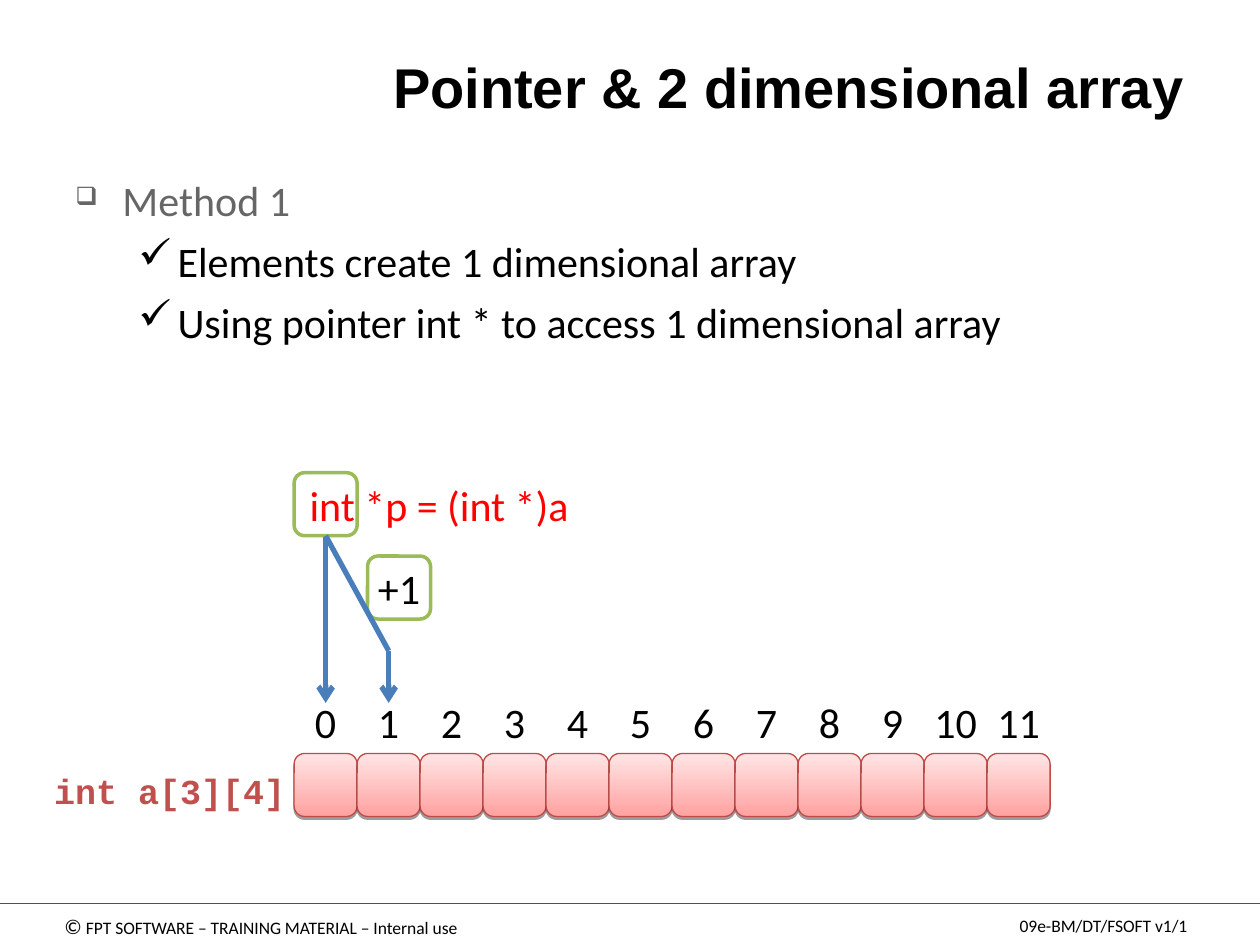
from dataclasses import dataclass

from lxml import etree
from pptx import Presentation
from pptx.dml.color import RGBColor
from pptx.enum.shapes import MSO_CONNECTOR, MSO_SHAPE
from pptx.enum.text import MSO_ANCHOR, PP_ALIGN
from pptx.oxml.ns import qn
from pptx.util import Cm, Pt

ROUND = MSO_SHAPE.ROUNDED_RECTANGLE
STRAIGHT = MSO_CONNECTOR.STRAIGHT
LEFT, CENTER, RIGHT = PP_ALIGN.LEFT, PP_ALIGN.CENTER, PP_ALIGN.RIGHT
TOP, MIDDLE, BOTTOM = MSO_ANCHOR.TOP, MSO_ANCHOR.MIDDLE, MSO_ANCHOR.BOTTOM


@dataclass(frozen=True)
class Theme:
    black: str = "000000"
    white: str = "FFFFFF"
    gray: str = "666666"
    red: str = "FF0000"
    rule: str = "FC0128"
    code: str = "C0504D"
    cell_line: str = "BE4B48"
    cell_dark: str = "FFA2A1"
    cell_light: str = "FFE5E5"
    green: str = "9BBB59"
    blue: str = "4A7EBB"
    heading: str = "Arial"
    body: str = "Calibri"
    mono: str = "Courier New"
    title_size: int = 32
    body_size: int = 24
    code_size: int = 20
    mark_size: int = 12
    foot_size: int = 10


T = Theme()


def write(sp, runs, align=LEFT, anchor=TOP, wrap=False):
    tf = sp.text_frame
    tf.word_wrap = wrap
    tf.vertical_anchor = anchor
    p = tf.paragraphs[0]
    p.alignment = align
    for text, size, color, name, bold in runs:
        r = p.add_run()
        r.text = text
        r.font.size = Pt(size)
        r.font.color.rgb = RGBColor.from_string(color)
        r.font.name = name
        r.font.bold = bold


def connect(x1, y1, x2, y2, color, width, arrow=False):
    c = s.shapes.add_connector(STRAIGHT, Cm(x1), Cm(y1), Cm(x2), Cm(y2))
    c.line.color.rgb = RGBColor.from_string(color)
    c.line.width = Pt(width)
    if arrow:
        etree.SubElement(c.line._get_or_add_ln(), qn("a:tailEnd"), type="arrow")
    etree.SubElement(c._element.spPr, qn("a:effectLst"))


prs = Presentation()
prs.slide_width, prs.slide_height = Cm(25.4), Cm(19.05)
s = prs.slides.add_slide(prs.slide_layouts[6])

connect(0, 18.21, 25.4, 18.21, T.rule, 0.75)

texts = [
    (1.02, 18.29, 8.48, 0.76, CENTER, MIDDLE, False,
     [("©", T.mark_size, T.black, T.body, False),
      (" FPT SOFTWARE – TRAINING MATERIAL – Internal use", T.foot_size, T.black, T.body, False)]),
    (20.29, 18.31, 3.91, 0.69, CENTER, MIDDLE, False,
     [("09e-BM/DT/FSOFT v1/1", T.foot_size, T.black, T.body, False)]),
    (4.9, 0, 19.23, 2.54, RIGHT, BOTTOM, True,
     [("Pointer & 2 dimensional array", T.title_size, T.black, T.heading, True)]),
    (0.84, 15.39, 5.92, 1.12, LEFT, TOP, True,
     [("int a[3][4]", T.code_size, T.code, T.mono, True)]),
]
for x, y, w, h, align, anchor, wrap, runs in texts:
    sp = s.shapes.add_textbox(Cm(x), Cm(y), Cm(w), Cm(h))
    write(sp, runs, align, anchor, wrap)

bullets = [
    ("Method 1", 0, 0.95, 0.95, "❑", 60, T.gray),
    ("Elements create 1 dimensional array", 1, 2.06, 0.79, "✓", 100, T.black),
    ("Using pointer int * to access 1 dimensional array", 1, 2.06, 0.79, "✓", 100, T.black),
]
tf = s.shapes.add_textbox(Cm(1.27), Cm(3.39), Cm(22.86), Cm(13.64)).text_frame
tf.word_wrap = True
for i, (text, level, margin, hang, mark, scale, color) in enumerate(bullets):
    p = tf.add_paragraph() if i else tf.paragraphs[0]
    p.level = level
    pPr = p._p.get_or_add_pPr()
    pPr.set("marL", str(Cm(margin)))
    pPr.set("indent", str(-Cm(hang)))
    clr = etree.SubElement(pPr, qn("a:buClr"))
    etree.SubElement(clr, qn("a:srgbClr"), val=color)
    etree.SubElement(pPr, qn("a:buSzPct"), val=str(scale * 1000))
    etree.SubElement(pPr, qn("a:buChar"), char=mark)
    p.space_before = Pt(6 if i else 0)
    r = p.add_run()
    r.text = text
    r.font.size = Pt(T.body_size)
    r.font.name = T.body
    r.font.color.rgb = RGBColor.from_string(color)

side, left, index_top = 1.27, 5.93, 13.92
for i in range(12):
    x = left + i * side
    sp = s.shapes.add_shape(ROUND, Cm(x), Cm(index_top), Cm(side), Cm(side))
    sp.shadow.inherit = False
    sp.fill.solid()
    sp.fill.fore_color.rgb = RGBColor.from_string(T.white)
    sp.line.fill.background()
    write(sp, [(str(i), T.body_size, T.black, T.body, False)], CENTER, MIDDLE)

for i in range(12):
    x = left + i * side
    sp = s.shapes.add_shape(ROUND, Cm(x), Cm(index_top + side), Cm(side), Cm(side))
    sp.fill.gradient()
    sp.fill.gradient_angle = 90
    for stop, color in zip(sp.fill.gradient_stops, (T.cell_dark, T.cell_light)):
        stop.color.rgb = RGBColor.from_string(color)
    sp.line.color.rgb = RGBColor.from_string(T.cell_line)
    sp.line.width = Pt(0.75)
    sp.shadow.inherit = False
    effects = sp._element.spPr.find(qn("a:effectLst"))
    shadow = etree.SubElement(effects, qn("a:outerShdw"), blurRad="0", dist=str(Pt(1.6)),
                              dir="5400000", rotWithShape="0")
    clr = etree.SubElement(shadow, qn("a:srgbClr"), val=T.black)
    etree.SubElement(clr, qn("a:alpha"), val="38000")

pointer_x, next_x = left + side / 2, left + side * 1.5
pointer_bottom, bend_y, tip_y = 10.8, 13.12, 14.17
connect(pointer_x, pointer_bottom, pointer_x, tip_y, T.blue, 3, arrow=True)
connect(next_x, bend_y, next_x, tip_y, T.blue, 3, arrow=True)

boxes = [
    (left, 9.53, "int *p = (int *)a", T.red, LEFT),
    (7.41, 11.21, "+1", T.black, CENTER),
]
for x, y, text, color, align in boxes:
    sp = s.shapes.add_shape(ROUND, Cm(x), Cm(y), Cm(side), Cm(side))
    sp.shadow.inherit = False
    sp.fill.solid()
    sp.fill.fore_color.rgb = RGBColor.from_string(T.white)
    sp.line.color.rgb = RGBColor.from_string(T.green)
    sp.line.width = Pt(2)
    write(sp, [(text, T.body_size, color, T.body, False)], align, MIDDLE)

connect(pointer_x, pointer_bottom, next_x, bend_y, T.blue, 3)

prs.save("out.pptx")
